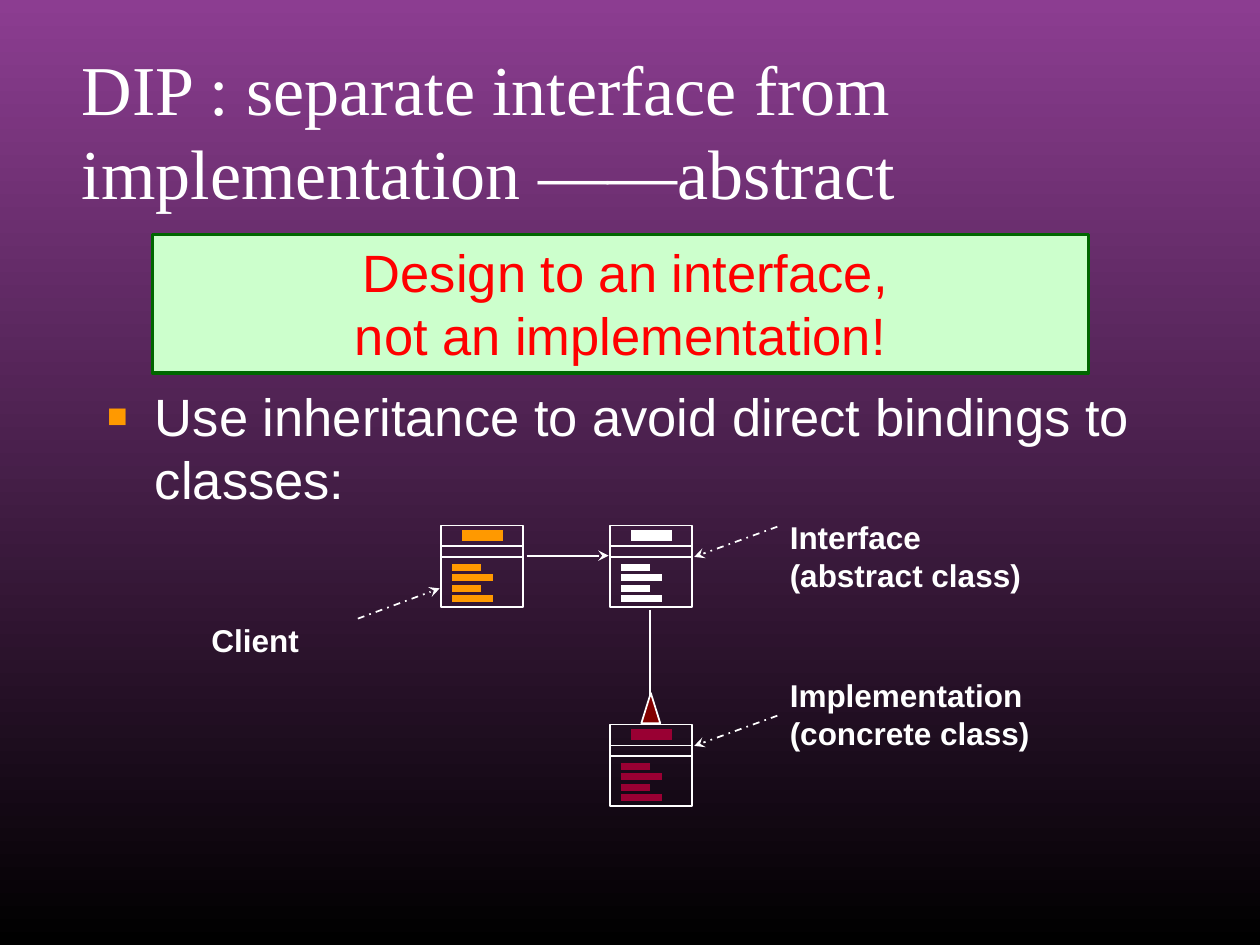
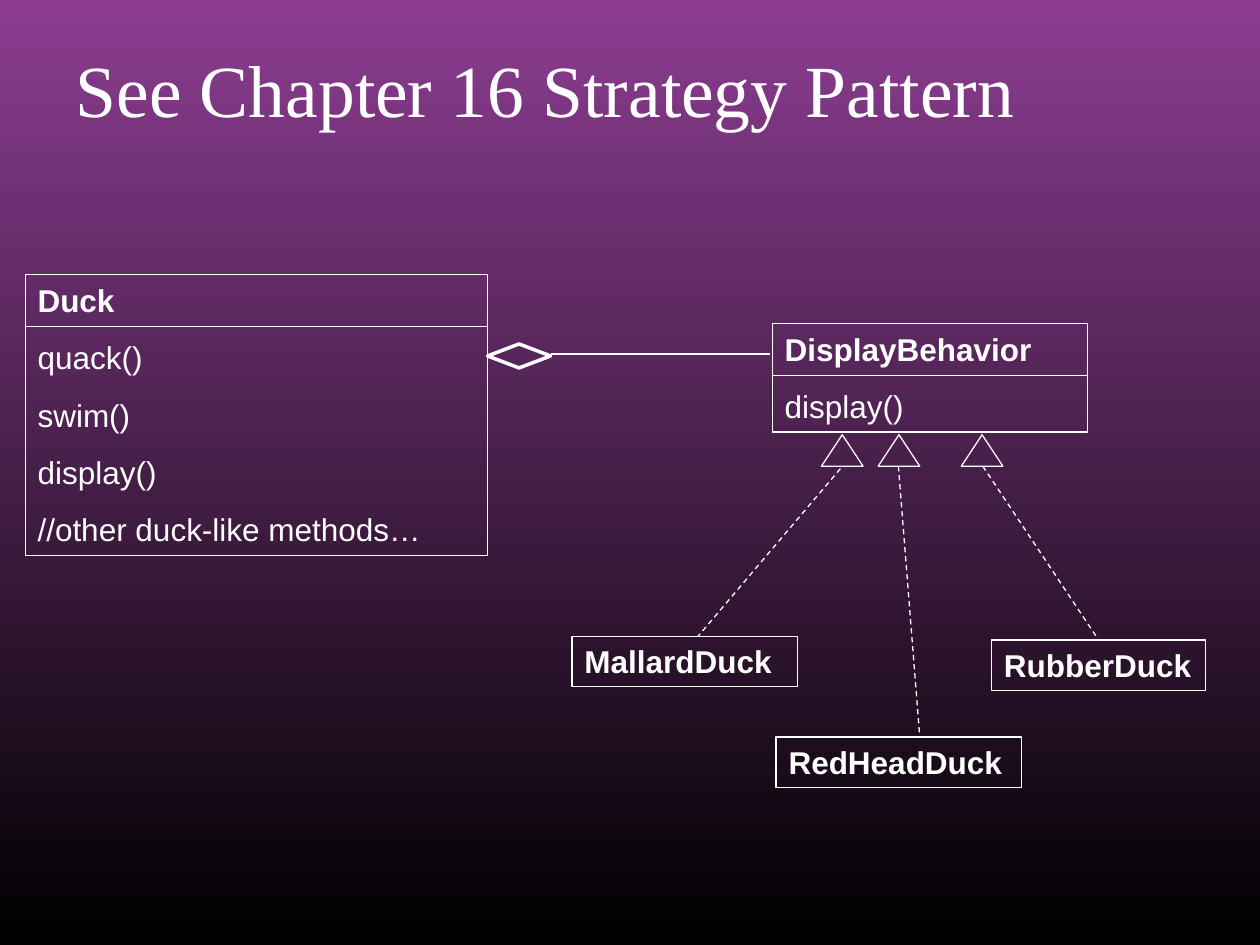
from dataclasses import dataclass

from lxml import etree
from pptx import Presentation
from pptx.dml.color import RGBColor
from pptx.enum.dml import MSO_LINE
from pptx.enum.shapes import MSO_CONNECTOR, MSO_SHAPE
from pptx.enum.text import MSO_ANCHOR, MSO_AUTO_SIZE, PP_ALIGN
from pptx.oxml.ns import qn
from pptx.util import Inches, Pt

RECT, TRIANGLE, DIAMOND = MSO_SHAPE.RECTANGLE, MSO_SHAPE.ISOSCELES_TRIANGLE, MSO_SHAPE.DIAMOND
STRAIGHT = MSO_CONNECTOR.STRAIGHT
DASH, DASH_DOT = MSO_LINE.DASH, MSO_LINE.DASH_DOT
TOP, MIDDLE = MSO_ANCHOR.TOP, MSO_ANCHOR.MIDDLE
LEFT, CENTER = PP_ALIGN.LEFT, PP_ALIGN.CENTER


@dataclass(frozen=True)
class Theme:
    white: str = "FFFFFF"
    black: str = "000000"
    purple: str = "8C3D91"
    orange: str = "FF9900"
    crimson: str = "990033"
    maroon: str = "820000"
    red: str = "FF0000"
    mint: str = "CCFFCC"
    green: str = "006600"
    serif: str = "Times New Roman"
    sans: str = "Arial"
    title: int = 40
    title_large: int = 42
    body: int = 30
    label: int = 18
    thin: float = 0.75
    line: float = 1
    thick: float = 2


T = Theme()

# Content: separate interface from implementation
DIP_TITLE = "DIP : separate interface from implementation ——abstract"
MOTTO = ["Design to an interface,", "not an implementation!"]
ADVICE = "Use inheritance to avoid direct bindings to classes:"
LABELS = [  # lines, box
    (["Client"], (1.58, 4.83, 1.25, 0.5)),
    (["Interface", "(abstract class)"], (6.17, 4, 2.33, 0.83)),
    (["Implementation", "(concrete class)"], (6.17, 5.33, 2.33, 0.67)),
]
CLASS_ICONS = [  # left, top, colour of the bars
    (4.84, 5.75, T.crimson),
    (4.84, 4.17, T.white),
    (3.5, 4.17, T.orange),
]
USE_ARROW = ((4.18, 4.41), (4.83, 4.41))
LABEL_ARROWS = [
    ((6.17, 4.18), (5.51, 4.42)),
    ((6.17, 5.68), (5.51, 5.92)),
    ((2.84, 4.91), (3.49, 4.67)),
]

# Content: strategy pattern
STRATEGY_TITLE = "See Chapter 16 Strategy Pattern"
CLASSES = [  # name, methods, box
    ("Duck", ["quack()", "swim()", "display()", "//other duck-like methods…"],
     (0.2, 2.18, 3.67, 2.23)),
    ("DisplayBehavior", ["display()"], (6.13, 2.57, 2.5, 0.86)),
    ("MallardDuck", [], (4.54, 5.05, 1.79, 0.4)),
    ("RedHeadDuck", [], (6.16, 5.85, 1.95, 0.4)),
    ("RubberDuck", [], (7.87, 5.08, 1.7, 0.4)),
]
NAME_HEIGHT = 0.41
REALIZATIONS = [  # triangle left, line start, line end, class joined at its top
    (6.52, (6.67, 3.72), (5.54, 5.05), None),
    (6.97, (7.13, 3.7), (7.3, 5.85), None),
    (7.63, (7.8, 3.7), (8.72, 5.08), "RubberDuck"),
]


# Helpers
def rgb(color):
    return RGBColor.from_string(color)


def inches(values):
    return [Inches(v) for v in values]


def add_run(p, text, size, color=T.white, font=T.sans, bold=False):
    r = p.add_run()
    r.text = text
    r.font.size, r.font.name, r.font.bold = Pt(size), font, bold
    r.font.color.rgb = rgb(color)


def set_frame(sp, anchor=TOP, wrap=True):
    tf = sp.text_frame
    tf.auto_size = MSO_AUTO_SIZE.NONE
    tf.word_wrap = wrap
    tf.vertical_anchor = anchor
    return tf


def place(sp, box):
    sp.left, sp.top, sp.width, sp.height = inches(box)


def add_title(slide, text, box, size):
    sp = slide.shapes.title
    place(sp, box)
    p = set_frame(sp).paragraphs[0]
    p.alignment = LEFT
    add_run(p, text, size, font=T.serif)


def add_outline(shapes, kind, box, color=T.white, width=T.thin, fill=None):
    sp = shapes.add_shape(kind, *inches(box))
    sp.shadow.inherit = False
    if fill:
        sp.fill.solid()
        sp.fill.fore_color.rgb = rgb(fill)
    else:
        sp.fill.background()
    sp.line.color.rgb = rgb(color)
    sp.line.width = Pt(width)
    return sp


def add_line(shapes, start, end, color=T.white, width=T.line, dash=None, arrow=False):
    cn = shapes.add_connector(STRAIGHT, *inches(start + end))
    cn.line.color.rgb = rgb(color)
    cn.line.width = Pt(width)
    if dash:
        cn.line.dash_style = dash
    if arrow:
        etree.SubElement(cn.line._get_or_add_ln(), qn("a:tailEnd"), type="stealth")
    etree.SubElement(cn._element.spPr, qn("a:effectLst"))
    return cn


def set_bullet(p, char, color, percent, indent):
    pPr = p._p.get_or_add_pPr()
    pPr.set("marL", str(Inches(indent)))
    pPr.set("indent", str(-Inches(indent)))
    clr = etree.SubElement(pPr, qn("a:buClr"))
    etree.SubElement(clr, qn("a:srgbClr"), val=color)
    etree.SubElement(pPr, qn("a:buSzPct"), val=str(percent * 1000))
    etree.SubElement(pPr, qn("a:buFont"), typeface=T.sans)
    etree.SubElement(pPr, qn("a:buChar"), char=char)


def add_class_icon(slide, left, top, color):
    """A small class card: name bar, two rules and four member bars."""
    shapes = slide.shapes.add_group_shape().shapes
    side, step = 0.65, 0.083
    add_outline(shapes, RECT, (left, top, side, side), width=T.line)

    def rule(x1, x2, y, **style):
        add_line(shapes, (left + x1, top + y), (left + x2, top + y), **style)

    for row in (2, 3):
        rule(0, side, row * step)
    rule(0.17, 0.49, 0.08, color=color, width=6)
    for row in range(4):
        rule(0.09, (0.32, 0.41)[row % 2], (row + 4) * step, color=color, width=4)


def add_class_box(slide, name, methods, box):
    sp = add_outline(slide.shapes, RECT, box)
    tf = set_frame(sp)
    for i, text in enumerate([name] + methods):
        p = tf.add_paragraph() if i else tf.paragraphs[0]
        p.alignment = LEFT
        p.space_before = Pt(11.2)
        add_run(p, text, T.label, bold=i == 0)
    if methods:
        left, top, width, _ = box
        y = top + NAME_HEIGHT
        add_line(slide.shapes, (left, y), (left + width, y), width=T.thin)
    return sp


# Slides
def build_dip(prs):
    slide = prs.slides.add_slide(prs.slide_layouts[1])
    shapes = slide.shapes
    add_title(slide, DIP_TITLE, (0.55, 0.31, 8.28, 0.69), T.title)

    body = slide.placeholders[1]
    place(body, (0.75, 3, 8.75, 3.17))
    p = set_frame(body).paragraphs[0]
    p.space_before = Pt(7.5)
    set_bullet(p, "■", T.orange, 65, 0.38)
    add_run(p, ADVICE, T.body)

    banner = add_outline(shapes, RECT, (1.21, 1.86, 7.43, 1.1), T.green, T.thick, T.mint)
    tf = set_frame(banner)
    for i, text in enumerate(MOTTO):
        p = tf.add_paragraph() if i else tf.paragraphs[0]
        p.alignment = CENTER
        add_run(p, text, T.body, T.red)
    # The first line sits slightly right of centre
    tf.paragraphs[0]._p.get_or_add_pPr().set("marL", str(Inches(0.08)))

    for lines, box in LABELS:
        p = set_frame(shapes.add_textbox(*inches(box)), MIDDLE, False).paragraphs[0]
        for i, text in enumerate(lines):
            if i:
                p.add_line_break()
            add_run(p, text, T.label, bold=True)

    for icon in CLASS_ICONS:
        add_class_icon(slide, *icon)
    add_line(shapes, (5.16, 4.84), (5.16, 5.74))
    add_outline(shapes, TRIANGLE, (5.09, 5.5, 0.15, 0.24), width=T.line, fill=T.maroon)
    add_line(shapes, *USE_ARROW, arrow=True)
    for start, end in LABEL_ARROWS:
        add_line(shapes, start, end, dash=DASH_DOT, arrow=True)


def build_strategy(prs):
    slide = prs.slides.add_slide(prs.slide_layouts[5])
    shapes = slide.shapes
    add_title(slide, STRATEGY_TITLE, (0.5, 0.3, 9, 1.25), T.title_large)
    boxes = {name: add_class_box(slide, name, methods, box)
             for name, methods, box in CLASSES}

    # Aggregation
    add_outline(shapes, DIAMOND, (3.87, 2.73, 0.5, 0.19), width=T.thick)
    add_line(shapes, (4.37, 2.81), (6.11, 2.81), width=T.thin)

    # Realizations
    for left, start, end, joined in REALIZATIONS:
        add_outline(shapes, TRIANGLE, (left, 3.45, 0.33, 0.25))
        cn = add_line(shapes, start, end, width=T.thin, dash=DASH)
        if joined:
            cn.end_connect(boxes[joined], 0)


def main():
    prs = Presentation()
    prs.slide_width, prs.slide_height = Inches(10), Inches(7.5)

    # Shared background, black at the bottom
    fill = prs.slide_master.background.fill
    fill.gradient()
    fill.gradient_angle = 90
    for stop, color, position in zip(fill.gradient_stops, (T.black, T.purple), (0, 1)):
        stop.color.rgb = rgb(color)
        stop.position = position

    build_dip(prs)
    build_strategy(prs)
    prs.save("out.pptx")


if __name__ == "__main__":
    main()
